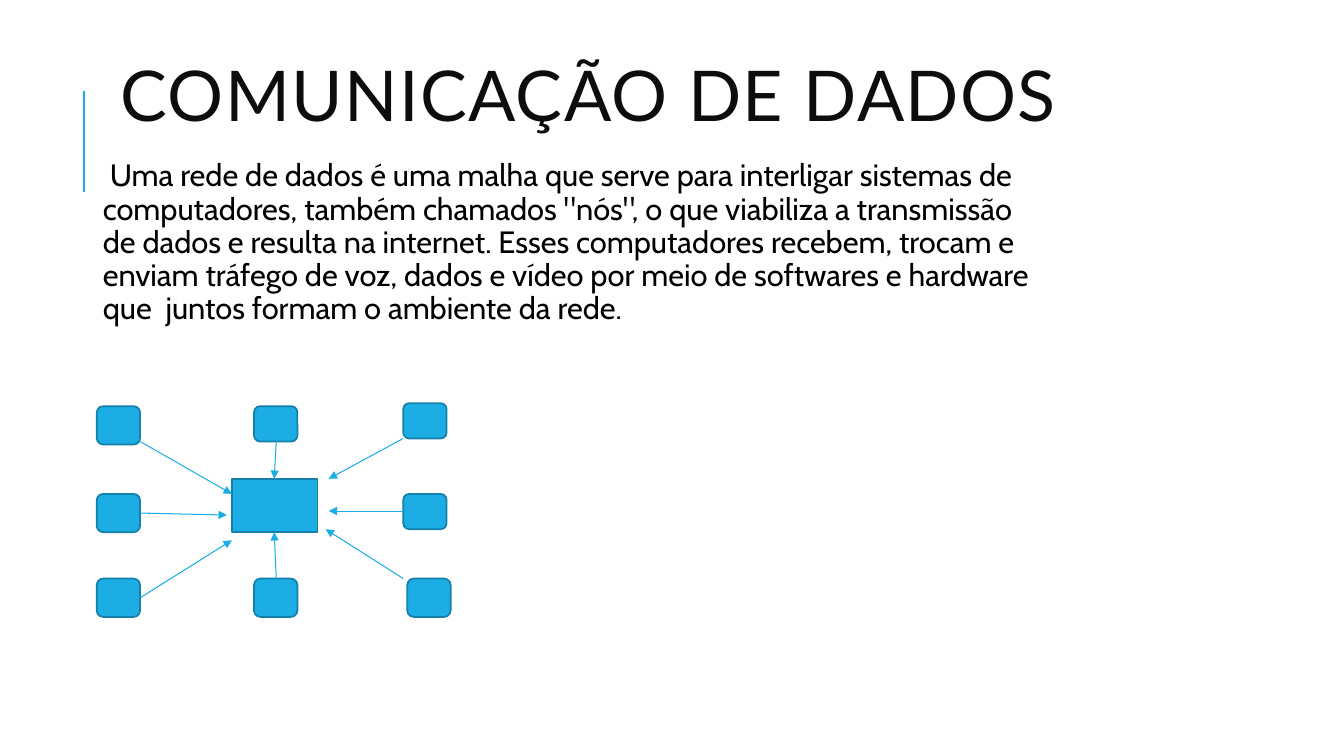
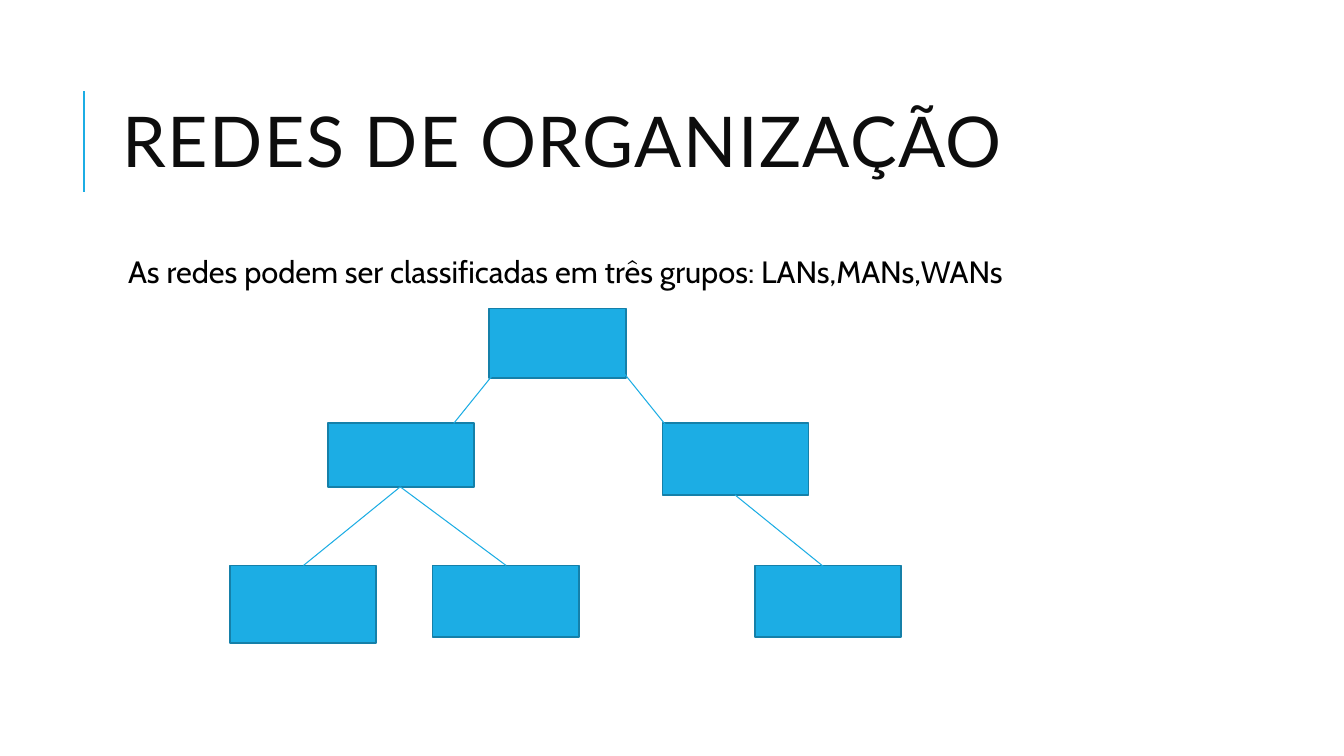
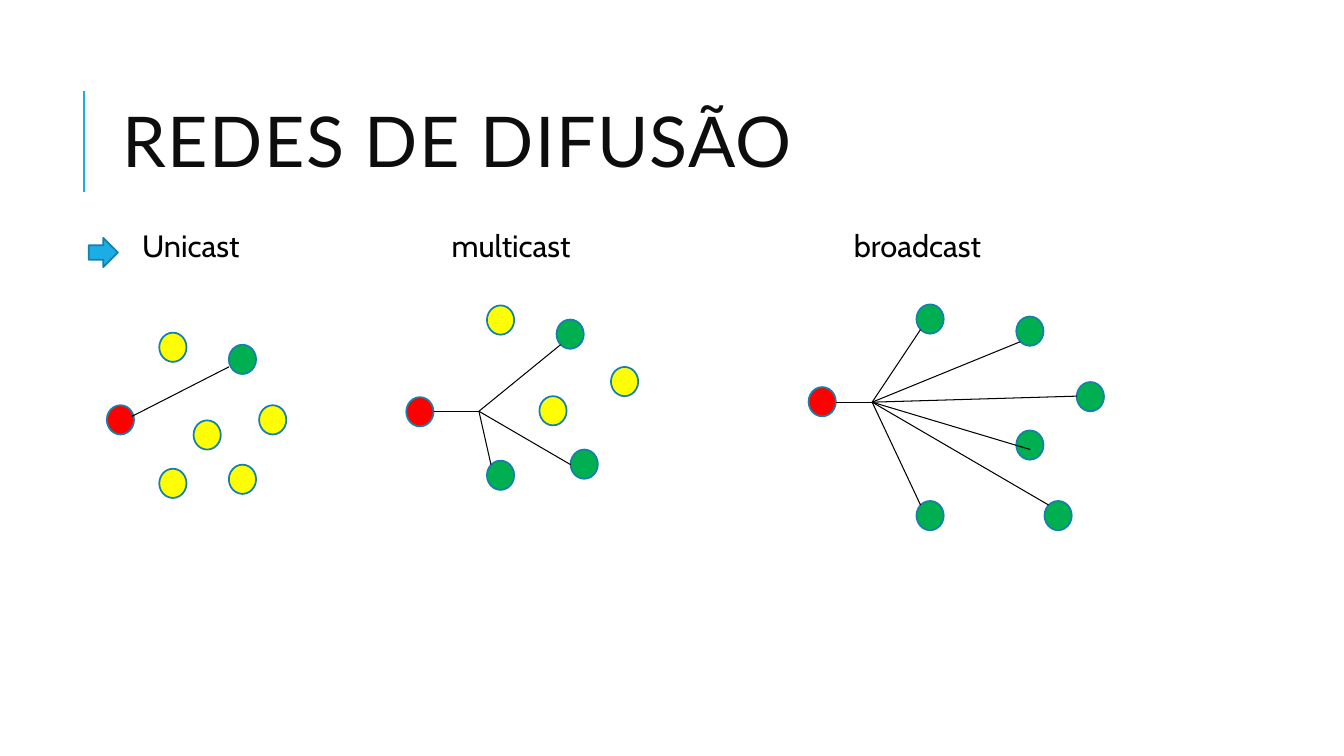
from lxml import etree
from pptx import Presentation
from pptx import util as u
from pptx.dml import color
from pptx.enum import shapes, text
from pptx.oxml import ns

ACCENT, EDGE, INK, BLACK = "1CADE4", "1580A9", "0D0D0D", "000000"
SENDER, RECEIVER, IDLE = "FF0000", "00B050", "FFFF00"
TITLE_FONT, BODY_FONT = "Lato", "Cabin"
TITLE_BOX = (1.12, 0.64, 10.63, 1.64)
SHAPE = shapes.MSO_SHAPE


def rgb(value):
    """Turn a hex string into a colour."""
    return color.RGBColor.from_string(value)


def add_node(slide, kind, box, fill=ACCENT):
    """Draw one outlined node."""
    node = slide.shapes.add_shape(kind, *map(u.Inches, box))
    node.shadow.inherit = False
    node.fill.solid()
    node.fill.fore_color.rgb = rgb(fill)
    node.line.color.rgb = rgb(EDGE)
    node.line.width = u.Pt(1.25)


def add_link(slide, origin, start, end, stroke=ACCENT, width=0.75, arrow=False):
    """Draw a straight link between two points measured from the origin."""
    left, top = origin
    ends = (left + start[0], top + start[1], left + end[0], top + end[1])
    link = slide.shapes.add_connector(shapes.MSO_CONNECTOR.STRAIGHT, *map(u.Inches, ends))
    link.line.color.rgb = rgb(stroke)
    link.line.width = u.Pt(width)
    if arrow:
        etree.SubElement(link.line._get_or_add_ln(), ns.qn("a:tailEnd"), type="triangle")
    etree.SubElement(link._element.spPr, ns.qn("a:effectLst"))


def add_text(slide, box, words, font, size, ink, spacing):
    """Place one paragraph in a wrapping text box and return its frame."""
    frame = slide.shapes.add_textbox(*map(u.Inches, box)).text_frame
    frame.word_wrap = True
    paragraph = frame.paragraphs[0]
    paragraph.line_spacing = spacing
    run = paragraph.add_run()
    run.text = words
    run.font.name = font
    run.font.size = u.Pt(size)
    run.font.color.rgb = rgb(ink)
    return frame


def add_heading(slide, words, box=TITLE_BOX, indent=0):
    """Draw the accent rule and the slide title."""
    add_link(slide, (0.83, 0.9), (0, 1), (0, 0), width=1.5)
    frame = add_text(slide, box, words, TITLE_FONT, 50, INK, 0.8)
    frame.vertical_anchor = text.MSO_ANCHOR.MIDDLE
    paragraph = frame.paragraphs[0]
    paragraph._p.get_or_add_pPr().set("marL", str(u.Inches(indent)))
    paragraph.runs[0].font._element.set("spc", "100")


def add_body(slide, box, words, indent=0):
    """Write a body paragraph with a first-line indent."""
    frame = add_text(slide, box, words, BODY_FONT, 22, BLACK, 0.9)
    frame.margin_left = frame.margin_right = u.Inches(0.05)
    frame.margin_top = frame.margin_bottom = u.Inches(0.05)
    paragraph = frame.paragraphs[0]
    paragraph.space_before, paragraph.space_after = u.Pt(12), u.Pt(2)
    paragraph._p.get_or_add_pPr().set("indent", str(u.Inches(indent)))


def draw_star(slide, left, top):
    """Draw the central computer with eight computers pointing at it."""
    add_node(slide, SHAPE.RECTANGLE, (left + 1.34, top + 0.75, 0.85, 0.53))
    computers = [
        (0, 0.03, 0.38), (0, 0.9, 0.38), (0, 1.74, 0.38),
        (1.56, 0.03, 0.35), (1.56, 1.74, 0.38),
        (3.04, 0, 0.35), (3.04, 0.9, 0.35), (3.08, 1.74, 0.38),
    ]
    for x, y, height in computers:
        add_node(slide, SHAPE.ROUNDED_RECTANGLE, (left + x, top + y, 0.43, height))
    arrows = [
        ((0.43, 0.38), (1.34, 0.9)), ((0.43, 1.09), (1.29, 1.11)),
        ((0.43, 1.93), (1.34, 1.36)), ((1.78, 1.74), (1.76, 1.28)),
        ((3.04, 1.74), (2.27, 1.25)), ((1.78, 0.38), (1.76, 0.75)),
        ((3.04, 0.35), (2.3, 0.75)), ((3.04, 1.07), (2.3, 1.07)),
    ]
    for start, end in arrows:
        add_link(slide, (left, top), start, end, arrow=True)


def draw_tree(slide, left, top):
    """Draw the three-level hierarchy."""
    levels = {
        0: [(2.57, 1.36, 0.69)],
        1.14: [(0.97, 1.45, 0.63), (4.29, 1.45, 0.71)],
        2.55: [(0, 1.45, 0.77), (2.01, 1.45, 0.71), (5.21, 1.45, 0.71)],
    }
    for y, units in levels.items():
        for x, width, height in units:
            add_node(slide, SHAPE.RECTANGLE, (left + x, top + y, width, height))
    branches = [
        ((2.22, 1.14), (2.68, 0.57)), ((3.85, 0.57), (4.39, 1.24)),
        ((5.01, 1.85), (6.01, 2.66)), ((1.69, 1.77), (0.73, 2.55)),
        ((1.69, 1.77), (2.74, 2.55)),
    ]
    for start, end in branches:
        add_link(slide, (left, top), start, end)


def draw_cast(slide, origin, label, label_at, sender, receivers, idle, fork, ends, trunk=None):
    """Draw a labelled network: sender, receivers, idle hosts and links."""
    left, top = origin
    add_body(slide, (left + label_at[0], top + label_at[1], 2, 0.5), label)
    groups = ((SENDER, [sender]), (IDLE, idle), (RECEIVER, receivers))
    for fill, hosts in groups:
        for x, y in hosts:
            add_node(slide, SHAPE.OVAL, (left + x, top + y, 0.27, 0.29), fill)
    if trunk:
        add_link(slide, origin, trunk, fork, BLACK)
    for end in ends:
        add_link(slide, origin, fork, end, BLACK)


def build_data_slide(slide):
    """Build the slide on data communication."""
    add_heading(slide, "COMUNICAÇÃO DE DADOS", (0.71, 0.26, 11, 1.5), indent=0.39)
    add_body(
        slide, (0.97, 1.54, 9.47, 1.82),
        "Uma rede de dados é uma malha que serve para interligar sistemas de "
        "computadores, também chamados \"nós\", o que viabiliza a transmissão de dados "
        "e resulta na internet. Esses computadores recebem, trocam e enviam tráfego de "
        "voz, dados e vídeo por meio de softwares e hardware que  juntos formam o "
        "ambiente da rede.", indent=0.07)
    draw_star(slide, 0.96, 4)


def build_organization_slide(slide):
    """Build the slide on organization networks."""
    add_heading(slide, "REDES DE ORGANIZAÇÃO")
    add_body(slide, (1.12, 2.5, 10.63, 4.4),
             "As redes podem ser classificadas em três grupos: LANs,MANs,WANs", indent=0.1)
    draw_tree(slide, 2.28, 3.06)


def build_diffusion_slide(slide):
    """Build the slide on unicast, multicast and broadcast."""
    add_heading(slide, "REDES DE DIFUSÃO")
    add_node(slide, SHAPE.RIGHT_ARROW, (0.88, 2.36, 0.29, 0.29))
    draw_cast(
        slide, (1.06, 3.3), "Unicast", (0.3, -1.06),
        sender=(0, 0.72), receivers=[(1.21, 0.12)],
        idle=[(0.52, 0), (1.51, 0.72), (1.21, 1.31), (0.52, 1.35), (0.86, 0.87)],
        fork=(0.25, 0.83), ends=[(1.21, 0.34)])
    draw_cast(
        slide, (4.03, 3.03), "multicast", (0.4, -0.79), sender=(0, 0.91),
        receivers=[(1.49, 0.14), (1.63, 1.43), (0.8, 1.54)],
        idle=[(0.8, 0), (2.03, 0.61), (1.32, 0.9)],
        fork=(0.72, 1.05), ends=[(1.53, 0.39), (1.63, 1.58), (0.84, 1.58)],
        trunk=(0.27, 1.05))
    draw_cast(
        slide, (8.02, 3.02), "broadcast", (0.4, -0.78), sender=(0, 0.82),
        receivers=[(1.07, 0), (2.06, 0.12), (2.66, 0.77), (2.06, 1.25),
                   (2.34, 1.95), (1.07, 1.95)],
        idle=[], fork=(0.63, 0.97),
        ends=[(1.11, 0.25), (2.1, 0.37), (2.66, 0.91), (2.2, 1.44),
              (2.38, 1.99), (1.11, 1.99)],
        trunk=(0.27, 0.97))


def main():
    """Build the presentation and save it."""
    deck = Presentation()
    deck.slide_width, deck.slide_height = u.Inches(13.33), u.Inches(7.5)
    for build in (build_data_slide, build_organization_slide, build_diffusion_slide):
        build(deck.slides.add_slide(deck.slide_layouts[6]))
    deck.save("out.pptx")


main()
